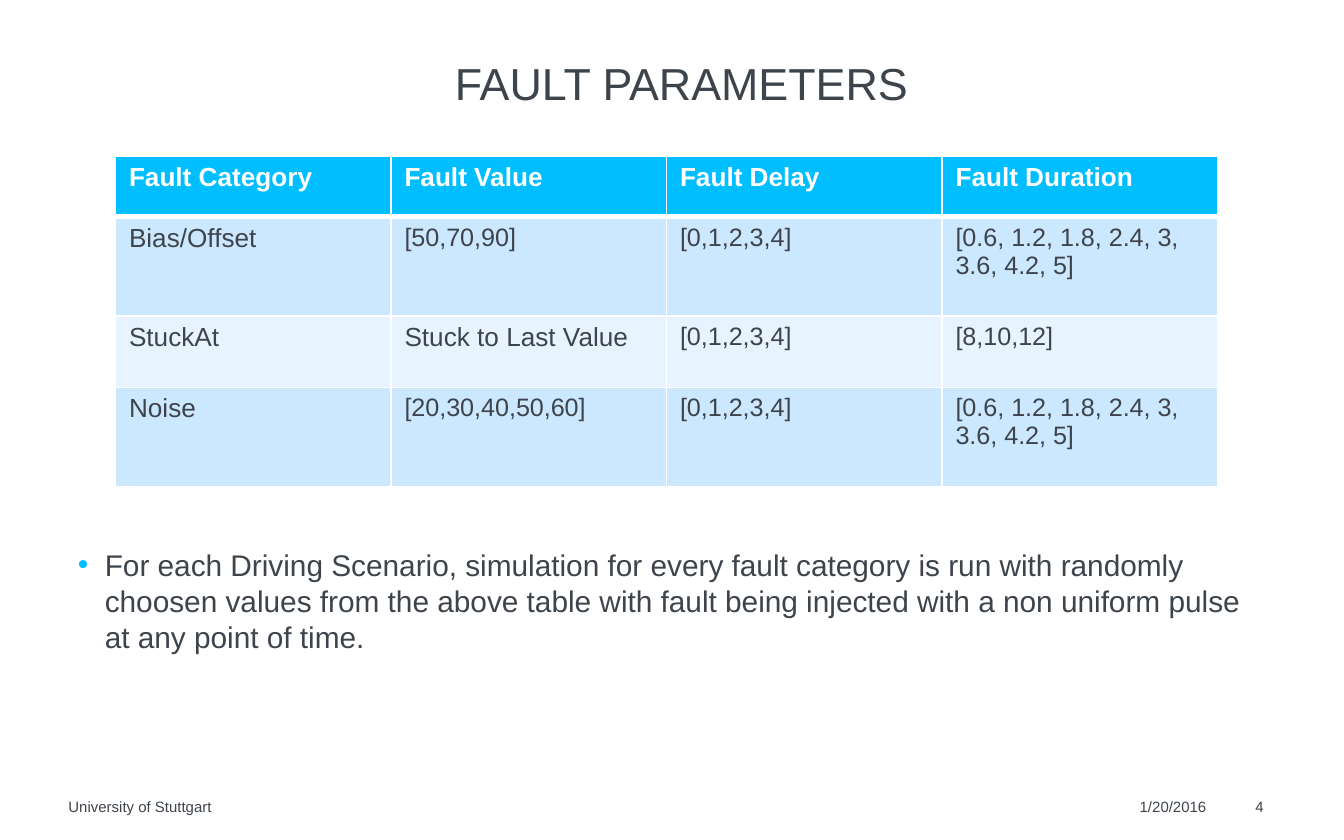
from lxml import etree
from pptx import Presentation
from pptx.dml.color import RGBColor
from pptx.enum.text import PP_ALIGN
from pptx.oxml.ns import qn
from pptx.util import Inches, Pt

SLIDE_WIDTH, SLIDE_HEIGHT = Inches(10), Inches(6.25)
CENTER, LEFT = PP_ALIGN.CENTER, PP_ALIGN.LEFT
FONT = "Arial"
INK = RGBColor(0x3E, 0x44, 0x4C)
WHITE = RGBColor(0xFF, 0xFF, 0xFF)
ACCENT = RGBColor(0x00, 0xBE, 0xFF)
BAND_DARK = RGBColor(0xCC, 0xE8, 0xFF)
BAND_LIGHT = RGBColor(0xE7, 0xF4, 0xFF)

DELAYS = "[0,1,2,3,4]"
LONG_DURATIONS = "[0.6, 1.2, 1.8, 2.4, 3, 3.6, 4.2, 5]"
FAULTS = [
    ["Fault Category", "Fault Value", "Fault Delay", "Fault Duration"],
    ["Bias/Offset", "[50,70,90]", DELAYS, LONG_DURATIONS],
    ["StuckAt", "Stuck to Last Value", DELAYS, "[8,10,12]"],
    ["Noise", "[20,30,40,50,60]", DELAYS, LONG_DURATIONS],
]
ROW_HEIGHTS = [0.45, 0.74, 0.53, 0.74]
FOOTER = [
    ("1/20/2016", 0.848, 0.058),
    ("University of Stuttgart", 0.051, 0.663),
    ("4", 0.934, 0.024),
]
SCENARIO_NOTE = (
    "For each Driving Scenario, simulation for every fault category is run "
    "with randomly choosen values from the above table with fault being "
    "injected with a non uniform pulse at any point of time."
)


def place(left, top, width, height):
    return (
        int(SLIDE_WIDTH * left),
        int(SLIDE_HEIGHT * top),
        int(SLIDE_WIDTH * width),
        int(SLIDE_HEIGHT * height),
    )


def style_font(paragraph, size, color=INK, bold=False):
    for run in paragraph.runs:
        run.font.name = FONT
        run.font.size = Pt(size)
        run.font.bold = bold
        run.font.color.rgb = color


def add_text(slide, area, text, size, align=LEFT):
    frame = slide.shapes.add_textbox(*place(*area)).text_frame
    frame.word_wrap = True
    frame.margin_left = frame.margin_right = 0
    frame.margin_top = frame.margin_bottom = 0
    frame.text = text
    paragraph = frame.paragraphs[0]
    paragraph.alignment = align
    style_font(paragraph, size)
    return paragraph


def add_bullet(paragraph, indent):
    properties = paragraph._p.get_or_add_pPr()
    properties.set("marL", str(indent))
    properties.set("indent", str(-indent))
    color = etree.SubElement(properties, qn("a:buClr"))
    etree.SubElement(color, qn("a:srgbClr"), val=str(ACCENT))
    etree.SubElement(properties, qn("a:buFont"), typeface=FONT)
    etree.SubElement(properties, qn("a:buChar"), char="•")


def set_borders(cell, top, bottom):
    properties = cell._tc.get_or_add_tcPr()
    sides = [("a:lnL", 1), ("a:lnR", 1), ("a:lnT", top), ("a:lnB", bottom)]
    for position, (side, width) in enumerate(sides):
        line = etree.Element(qn(side), w=str(Pt(width)))
        fill = etree.SubElement(line, qn("a:solidFill"))
        etree.SubElement(fill, qn("a:srgbClr"), val=str(WHITE))
        properties.insert(position, line)


def fill_cell(cell, text, row):
    header = row == 0
    cell.text = text
    size = 13.5 if text.startswith("[") else 14
    style_font(cell.text_frame.paragraphs[0], size, WHITE if header else INK, header)
    cell.fill.solid()
    band = BAND_DARK if row % 2 else BAND_LIGHT
    cell.fill.fore_color.rgb = ACCENT if header else band
    set_borders(cell, top=3 if row == 1 else 1, bottom=3 if header else 1)


def add_fault_table(slide):
    area = place(0.086, 0.186, 0.82, sum(ROW_HEIGHTS) / 6.25)
    table = slide.shapes.add_table(len(FAULTS), len(FAULTS[0]), *area).table
    for row, (height, values) in enumerate(zip(ROW_HEIGHTS, FAULTS)):
        table.rows[row].height = Inches(height)
        for column, text in enumerate(values):
            fill_cell(table.cell(row, column), text, row)


def main():
    deck = Presentation()
    deck.slide_width, deck.slide_height = SLIDE_WIDTH, SLIDE_HEIGHT
    slide = deck.slides.add_slide(deck.slide_layouts[6])

    for text, left, width in FOOTER:
        add_text(slide, (left, 0.949, width, 0.022), text, 8)

    title = add_text(slide, (0.058, 0.053, 0.898, 0.048), "FAULT PARAMETERS", 24, CENTER)
    title.line_spacing = 1.2
    title.space_before = Pt(7.5)

    add_fault_table(slide)

    note = add_text(slide, (0.058, 0.651, 0.876, 0.214), SCENARIO_NOTE, 16)
    add_bullet(note, Inches(0.2))

    deck.save("out.pptx")


if __name__ == "__main__":
    main()
